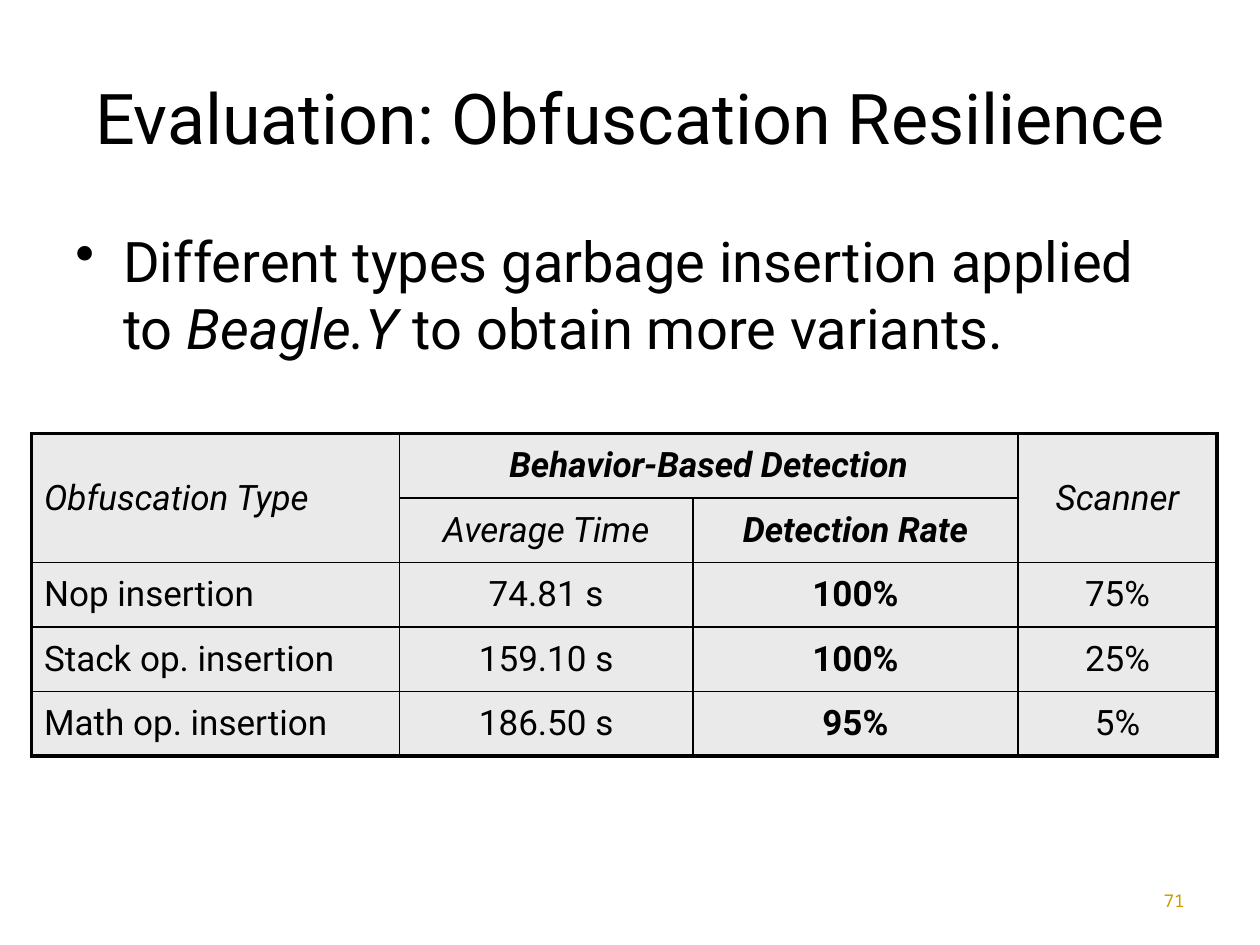
from lxml.etree import SubElement
from pptx import Presentation
from pptx.dml.color import RGBColor
from pptx.enum.text import MSO_ANCHOR, PP_ALIGN
from pptx.oxml.ns import qn
from pptx.util import Inches, Pt

COLORS = {"ink": "000000", "cell": "EAEAEA", "number": "C99900"}
HEADER_ROWS = 2
ROWS = [
    ["Obfuscation Type", "Behavior-Based Detection", "", "Scanner"],
    ["", "Average Time", "Detection Rate", ""],
    ["Nop insertion", "74.81 s", "100%", "75%"],
    ["Stack op. insertion", "159.10 s", "100%", "25%"],
    ["Math op. insertion", "186.50 s", "95%", "5%"],
]
MERGES = [((0, 0), (1, 0)), ((0, 1), (0, 2)), ((0, 3), (1, 3))]
BOLD_CELLS = {(0, 1)} | {(row, 2) for row in range(1, len(ROWS))}


class SlideBuilder:
    """Hold the style and current slide, placing elements by shares of its size."""

    def __init__(self, deck, font="Roboto"):
        self.deck = deck
        self.font = font
        self.page = deck.slides.add_slide(deck.slide_layouts[6])

    def place(self, left, top, width, height):
        across, down = self.deck.slide_width, self.deck.slide_height
        return int(left * across), int(top * down), int(width * across), int(height * down)

    def style(self, font, size, color="ink", name=None, bold=False, italic=False):
        font.name = name or self.font
        font.size = Pt(size)
        font.bold = bold
        font.italic = italic
        font.color.rgb = RGBColor.from_string(COLORS[color])

    def text(self, area, spans, size, align=PP_ALIGN.LEFT, anchor=MSO_ANCHOR.MIDDLE,
             bullet=False, color="ink", name=None):
        frame = self.page.shapes.add_textbox(*self.place(*area)).text_frame
        frame.word_wrap = True
        frame.vertical_anchor = anchor
        para = frame.paragraphs[0]
        para.alignment = align
        if bullet:
            properties = para._p.get_or_add_pPr()
            properties.set("marL", str(Inches(0.38)))
            properties.set("indent", str(Inches(-0.38)))
            SubElement(properties, qn("a:buChar"), char="•")
        for content, italic in spans:
            span = para.add_run()
            span.text = content
            self.style(span.font, size, color, name, italic=italic)

    def border(self, cell, widths):
        properties = cell._tc.get_or_add_tcPr()
        for side, width in widths.items():
            line = SubElement(properties, qn(f"a:ln{side}"), w=str(Pt(width)))
            fill = SubElement(line, qn("a:solidFill"))
            SubElement(fill, qn("a:srgbClr"), val=COLORS["ink"])

    def table(self, area, rows, column_widths, merges, size, thin=1, thick=2.25):
        last_row, last_column = len(rows) - 1, len(rows[0]) - 1
        table = self.page.shapes.add_table(len(rows), len(rows[0]), *self.place(*area)).table
        for column, width in zip(table.columns, column_widths):
            column.width = Inches(width)
        for start, end in merges:
            table.cell(*start).merge(table.cell(*end))
        for r, row in enumerate(rows):
            for c, content in enumerate(row):
                cell = table.cell(r, c)
                outer = {"L": c == 0, "R": c == last_column, "T": r == 0, "B": r == last_row}
                self.border(cell, {side: thick if edge else thin for side, edge in outer.items()})
                cell.fill.solid()
                cell.fill.fore_color.rgb = RGBColor.from_string(COLORS["cell"])
                cell.vertical_anchor = MSO_ANCHOR.MIDDLE
                cell.text_frame.text = content
                para = cell.text_frame.paragraphs[0]
                para.alignment = PP_ALIGN.CENTER if c else PP_ALIGN.LEFT
                for span in para.runs:
                    self.style(span.font, size, bold=(r, c) in BOLD_CELLS, italic=r < HEADER_ROWS)


def main():
    deck = Presentation()
    deck.slide_width, deck.slide_height = Inches(10), Inches(7.5)
    slide = SlideBuilder(deck)
    slide.text((0.717, 0.927, 0.233, 0.053), [("71", False)], 10, PP_ALIGN.RIGHT,
               color="number", name="Noto Sans Mono")
    slide.text((0.05, 0.04, 0.9, 0.167), [("Evaluation: Obfuscation Resilience", False)], 40,
               PP_ALIGN.CENTER)
    slide.text((0.05, 0.233, 0.9, 0.66),
               [("Different types garbage insertion applied to ", False), ("Beagle.Y", True),
                (" to obtain more variants.", False)],
               32, anchor=MSO_ANCHOR.TOP, bullet=True)
    slide.table((0.025, 0.459, 0.942, 0.341), ROWS, [2.92, 2.33, 2.58, 1.58], MERGES, 20)
    deck.save("out.pptx")


if __name__ == "__main__":
    main()
